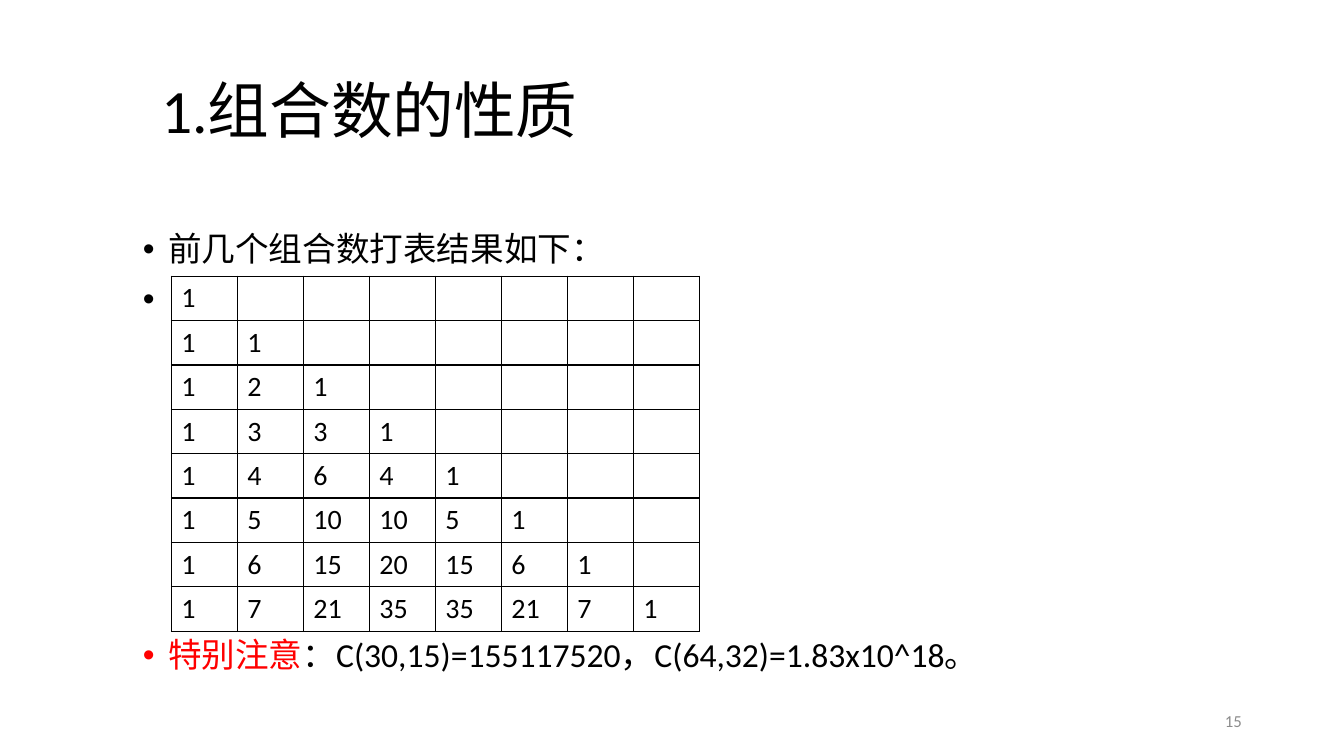
from math import comb

from lxml import etree
from pptx import Presentation
from pptx.dml.color import RGBColor
from pptx.enum.text import MSO_ANCHOR, PP_ALIGN
from pptx.oxml.ns import qn
from pptx.util import Pt

MIDDLE, TOP = MSO_ANCHOR.MIDDLE, MSO_ANCHOR.TOP
LEFT, RIGHT = PP_ALIGN.LEFT, PP_ALIGN.RIGHT
COLORS = {"text": "000000", "warning": "FF0000", "muted": "8C8C8C", "border": "000000"}
FONT = "Calibri"
ROW_COUNT = 8


def write(paragraph, text, size=24, color="text", align=LEFT):
    paragraph.alignment = align
    run = paragraph.add_run()
    run.text = text
    run.font.name = FONT
    run.font.size = Pt(size)
    run.font.color.rgb = RGBColor.from_string(COLORS[color])


def add_frame(slide, box, anchor=TOP):
    frame = slide.shapes.add_textbox(*map(Pt, box)).text_frame
    frame.word_wrap = True
    frame.vertical_anchor = anchor
    return frame


def add_bullet(paragraph, indent=Pt(18)):
    properties = paragraph._p.get_or_add_pPr()
    properties.set("marL", str(indent))
    properties.set("indent", str(-indent))
    etree.SubElement(properties, qn("a:buFont"), typeface="Arial")
    etree.SubElement(properties, qn("a:buChar"), char="•")


def add_border(cell, width=Pt(1)):
    properties = cell._tc.get_or_add_tcPr()
    for side in ("lnL", "lnR", "lnT", "lnB"):
        line = etree.SubElement(properties, qn(f"a:{side}"), w=str(width))
        fill = etree.SubElement(line, qn("a:solidFill"))
        etree.SubElement(fill, qn("a:srgbClr"), val=COLORS["border"])


def add_title(slide, box):
    heading = add_frame(slide, box, MIDDLE).paragraphs[0]
    heading.line_spacing = 0.9
    write(heading, "1.组合数的性质", size=44)


def add_body(slide, box):
    frame = add_frame(slide, box)
    points = [
        (10, [("前几个组合数打表结果如下：", "text")]),
        (10, [(" ", "text")]),
        (228, [("特别注意", "warning"),
               ("：C(30,15)=155117520，C(64,32)=1.83x10^18。", "text")]),
    ]
    for index, (space_before, parts) in enumerate(points):
        point = frame.add_paragraph() if index else frame.paragraphs[0]
        point.line_spacing = 0.9
        point.space_before = Pt(space_before)
        add_bullet(point)
        for text, color in parts:
            write(point, text, color=color)


def add_triangle(slide, box):
    graphic = slide.shapes.add_table(ROW_COUNT, ROW_COUNT, *map(Pt, box))
    triangle = graphic.table
    triangle.first_row = False
    triangle.horz_banding = False
    for column in triangle.columns:
        column.width = Pt(box[2] / ROW_COUNT)
    for n, row in enumerate(triangle.rows):
        row.height = Pt(box[3] / ROW_COUNT)
        for k, cell in enumerate(row.cells):
            add_border(cell)
            cell.fill.background()
            if k <= n:
                write(cell.text_frame.paragraphs[0], str(comb(n, k)), size=20)


def add_page_number(slide, box):
    number = add_frame(slide, box, MIDDLE).paragraphs[0]
    write(number, "15", size=12, color="muted", align=RIGHT)


def main():
    deck = Presentation()
    deck.slide_width, deck.slide_height = Pt(960), Pt(540)
    slide = deck.slides.add_slide(deck.slide_layouts[6])
    add_title(slide, (108, 28.8, 745.2, 104.4))
    add_body(slide, (95, 162.7, 763.2, 342.7))
    add_page_number(slide, (678.2, 500.4, 216, 28.8))
    add_triangle(slide, (122.4, 197.3, 377.3, 253.6))
    deck.save("out.pptx")


if __name__ == "__main__":
    main()
